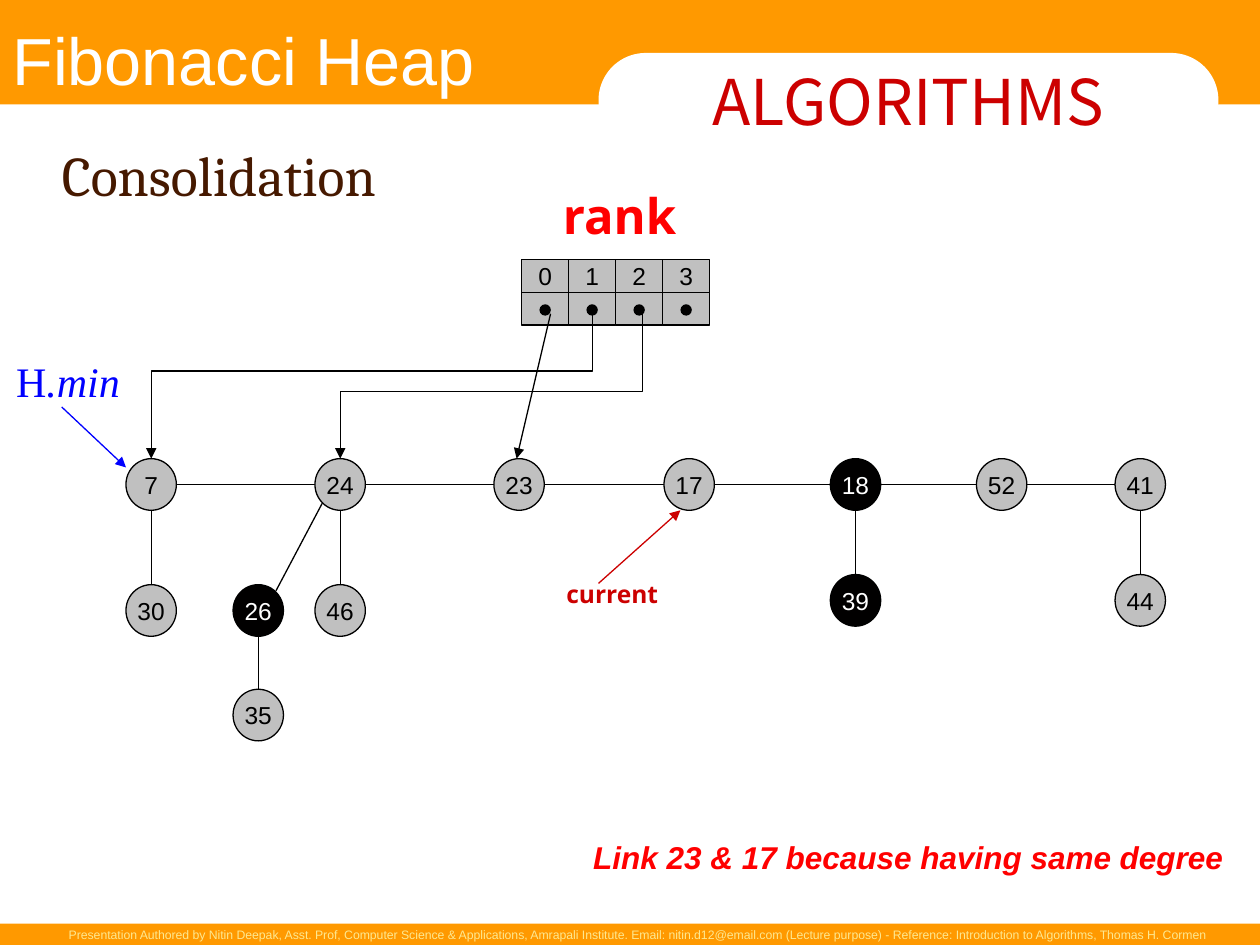
from itertools import pairwise

from pptx import Presentation
from pptx.dml.color import RGBColor
from pptx.enum.shapes import MSO_CONNECTOR, MSO_SHAPE
from pptx.enum.text import MSO_ANCHOR, PP_ALIGN
from pptx.oxml.ns import qn
from pptx.util import Inches, Pt
from lxml import etree

RECTANGLE, ROUNDED, OVAL = MSO_SHAPE.RECTANGLE, MSO_SHAPE.ROUNDED_RECTANGLE, MSO_SHAPE.OVAL
STRAIGHT, ELBOW = MSO_CONNECTOR.STRAIGHT, MSO_CONNECTOR.ELBOW
TOP, MIDDLE = MSO_ANCHOR.TOP, MSO_ANCHOR.MIDDLE
LEFT, CENTER, RIGHT = PP_ALIGN.LEFT, PP_ALIGN.CENTER, PP_ALIGN.RIGHT

ORANGE = RGBColor(0xFF, 0x99, 0x00)
WHITE = RGBColor(0xFF, 0xFF, 0xFF)
BLACK = RGBColor(0x00, 0x00, 0x00)
MARKED = RGBColor(0x01, 0x00, 0x00)
GRAY = RGBColor(0xC0, 0xC0, 0xC0)
RED = RGBColor(0xFF, 0x00, 0x00)
DARK_RED = RGBColor(0xCC, 0x00, 0x00)
BLUE = RGBColor(0x00, 0x00, 0xFF)
BROWN = RGBColor(0x46, 0x19, 0x00)
CREAM = RGBColor(0xFD, 0xE8, 0x91)

GRID_COLUMNS, GRID_ROWS, GRID_STEP = 100, 75, Inches(0.1)
NODE_WIDTH, NODE_HEIGHT = 4, 4.1
ROOT_ROW = 36.4
ROOTS = {"7": 10, "24": 25, "23": 39.2, "17": 52.7, "18": 65.9, "52": 77.5, "41": 88.5}
CHILDREN = {"30": (10, 46.4), "26": (18.5, 46.4), "46": (25, 46.4),
            "35": (18.5, 54.7), "39": (65.9, 45.6), "44": (88.5, 45.6)}
VERTICAL_EDGES = [("7", "30"), ("24", "46"), ("26", "35"), ("18", "39"), ("41", "44")]
MARKED_NODES = {"18", "26", "39"}
RANK_LEFT, RANK_TOP, RANK_WIDTH, RANK_HEIGHT = 41.4, 20.6, 3.73, 2.6
DOT_SIZE = 0.8

NODE_FONT = {"size": Pt(14), "name": "Arial"}
FOOTER = ("Presentation Authored by Nitin Deepak, Asst. Prof, Computer Science & Applications, "
          "Amrapali Institute. Email: nitin.d12@email.com (Lecture purpose) - "
          "Reference: Introduction to Algorithms, Thomas H. Cormen")


def grid(*lengths):
    """Turn grid steps into slide lengths."""
    return [round(length * GRID_STEP) for length in lengths]


def write_text(shape, runs, color, align=LEFT, anchor=TOP, wrap=False, inset=None):
    """Fill a shape with one paragraph of (text, font values) runs."""
    frame = shape.text_frame
    settings = {"word_wrap": wrap, "vertical_anchor": anchor}
    if inset is not None:
        sides = ("left", "top", "right", "bottom")
        settings |= {f"margin_{side}": inset for side in sides}
    for name, value in settings.items():
        setattr(frame, name, value)
    paragraph = frame.paragraphs[0]
    paragraph.alignment = align
    for text, font_values in runs:
        run = paragraph.add_run()
        run.text = text
        run.font.color.rgb = color
        for name, value in font_values.items():
            setattr(run.font, name, value)


def add_label(slide, box, runs, color, **layout):
    """Add a text box placed on the grid."""
    write_text(slide.shapes.add_textbox(*grid(*box)), runs, color, **layout)


def add_block(shapes, kind, box, fill, outline=None):
    """Add a flat preset shape placed on the grid."""
    shape = shapes.add_shape(kind, *grid(*box))
    shape.shadow.inherit = False
    shape.fill.solid()
    shape.fill.fore_color.rgb = fill
    if outline is None:
        shape.line.fill.background()
    else:
        shape.line.color.rgb = outline
        shape.line.width = Pt(0.75)
    return shape


def add_line(slide, start, end, color=BLACK, arrow=False, kind=STRAIGHT):
    """Add a thin connector between two grid points."""
    connector = slide.shapes.add_connector(kind, *grid(*start, *end))
    connector.line.color.rgb = color
    connector.line.width = Pt(0.75)
    properties = connector.element.spPr
    if arrow:
        etree.SubElement(properties.find(qn("a:ln")), qn("a:tailEnd"), type="triangle")
    etree.SubElement(properties, qn("a:effectLst"))
    return connector


def add_down_elbow(slide, start, end, bend):
    """Add an arrow that runs down, left and down, turning at a share of its drop."""
    drop, run = end[1] - start[1], start[0] - end[0]
    middle_x, middle_y = (start[0] + end[0]) / 2, (start[1] + end[1]) / 2
    first = (middle_x - drop / 2, middle_y - run / 2)
    last = (middle_x + drop / 2, middle_y + run / 2)
    properties = add_line(slide, first, last, arrow=True, kind=ELBOW).element.spPr
    properties.find(qn("a:xfrm")).set("rot", str(90 * 60000))
    adjustments = properties.find(qn("a:prstGeom")).find(qn("a:avLst"))
    etree.SubElement(adjustments, qn("a:gd"), name="adj1", fmla=f"val {round(bend * 100000)}")


def add_node(slide, key, position):
    """Add a heap node, black when marked."""
    marked = key in MARKED_NODES
    box = (*position, NODE_WIDTH, NODE_HEIGHT)
    node = add_block(slide.shapes, OVAL, box, MARKED if marked else GRAY, BLACK)
    write_text(node, [(key, NODE_FONT)], WHITE if marked else BLACK, CENTER, MIDDLE)


def add_frame(slide):
    """Add the header, its title tab and the footer."""
    add_block(slide.shapes, RECTANGLE, (0, 0, GRID_COLUMNS, 8.3), ORANGE)
    tab = add_block(slide.shapes, ROUNDED, (47.5, 4.2, 49.2, 7.5), WHITE)
    tab.adjustments[0] = 0.5
    write_text(tab, [("ALGORITHMS", {"size": Pt(36), "name": "Noto Sans CJK KR"})],
               DARK_RED, CENTER, MIDDLE)
    add_block(slide.shapes, RECTANGLE, (0, 73.3, GRID_COLUMNS, 1.7), ORANGE)
    add_label(slide, (4.2, 73.1, 92.5, 2.2), [(FOOTER, {"size": Pt(7), "name": "Arial"})],
              CREAM, align=RIGHT)
    heading = {"anchor": MIDDLE, "wrap": True, "inset": 0}
    add_label(slide, (1, 1, 42, 7.4), [("Fibonacci Heap", {"size": Pt(38), "name": "Arial"})],
              WHITE, **heading)
    add_label(slide, (4.9, 10.1, 89.9, 7.4),
              [("Consolidation", {"size": Pt(32), "name": "Cambria"})], BROWN, **heading)


def add_heap(slide):
    """Add the root list, the child trees and their edges."""
    positions = {key: (left, ROOT_ROW) for key, left in ROOTS.items()} | CHILDREN
    root_middle = ROOT_ROW + NODE_HEIGHT / 2
    for left, right in pairwise(ROOTS.values()):
        add_line(slide, (left + NODE_WIDTH, root_middle), (right, root_middle))
    for parent, child in VERTICAL_EDGES:
        (left, parent_top), (_, child_top) = positions[parent], positions[child]
        center = left + NODE_WIDTH / 2
        add_line(slide, (center, child_top), (center, parent_top + NODE_HEIGHT))
    add_line(slide, (21.9, 46.9), (25.6, 39.9))
    for key, position in positions.items():
        add_node(slide, key, position)


def add_rank_array(slide):
    """Add the rank array with its dots."""
    for row in range(2):
        cells = slide.shapes.add_group_shape().shapes
        for rank in range(4):
            box = (RANK_LEFT + rank * RANK_WIDTH, RANK_TOP + row * RANK_HEIGHT,
                   RANK_WIDTH, RANK_HEIGHT)
            cell = add_block(cells, RECTANGLE, box, GRAY, BLACK)
            if row == 0:
                write_text(cell, [(str(rank), NODE_FONT)], BLACK, CENTER, MIDDLE)
    for rank in range(4):
        left = RANK_LEFT + (rank + 0.5) * RANK_WIDTH - DOT_SIZE / 2
        add_block(slide.shapes, OVAL, (left, 24.2, DOT_SIZE, DOT_SIZE), MARKED, BLACK)


def add_pointers(slide):
    """Add the rank, minimum and current pointers with their labels."""
    add_down_elbow(slide, (47, 25), (12, ROOT_ROW), 0.39)
    add_down_elbow(slide, (51, 24.3), (27, ROOT_ROW), 0.56)
    add_line(slide, (43.7, 24.9), (41, ROOT_ROW), arrow=True)
    add_line(slide, (4.9, 32.3), (10, 37.1), BLUE, arrow=True)
    add_line(slide, (47.5, 46.3), (54, 40.5), DARK_RED, arrow=True)
    serif = {"size": Pt(24), "name": "Times New Roman"}
    bold_sans = {"name": "Noto Sans", "bold": True}
    add_label(slide, (0.3, 27.7, 11, 5), [("H", serif), (".min", serif | {"italic": True})], BLUE)
    add_label(slide, (43.7, 14.2, 11.4, 5.7), [("rank", bold_sans | {"size": Pt(28)})], RED)
    add_label(slide, (43.6, 45.1, 10, NODE_HEIGHT),
              [("current", bold_sans | {"size": Pt(14)})], DARK_RED, align=CENTER, anchor=MIDDLE)
    note = {"size": Pt(18), "name": "Arial", "bold": True, "italic": True}
    add_label(slide, (46.1, 66, 53, 4), [("Link 23 & 17 because having same degree", note)], RED)


def main():
    """Build the consolidation slide and save it."""
    presentation = Presentation()
    presentation.slide_width, presentation.slide_height = grid(GRID_COLUMNS, GRID_ROWS)
    slide = presentation.slides.add_slide(presentation.slide_layouts[6])
    for add_part in (add_frame, add_heap, add_rank_array, add_pointers):
        add_part(slide)
    presentation.save("out.pptx")


if __name__ == "__main__":
    main()
